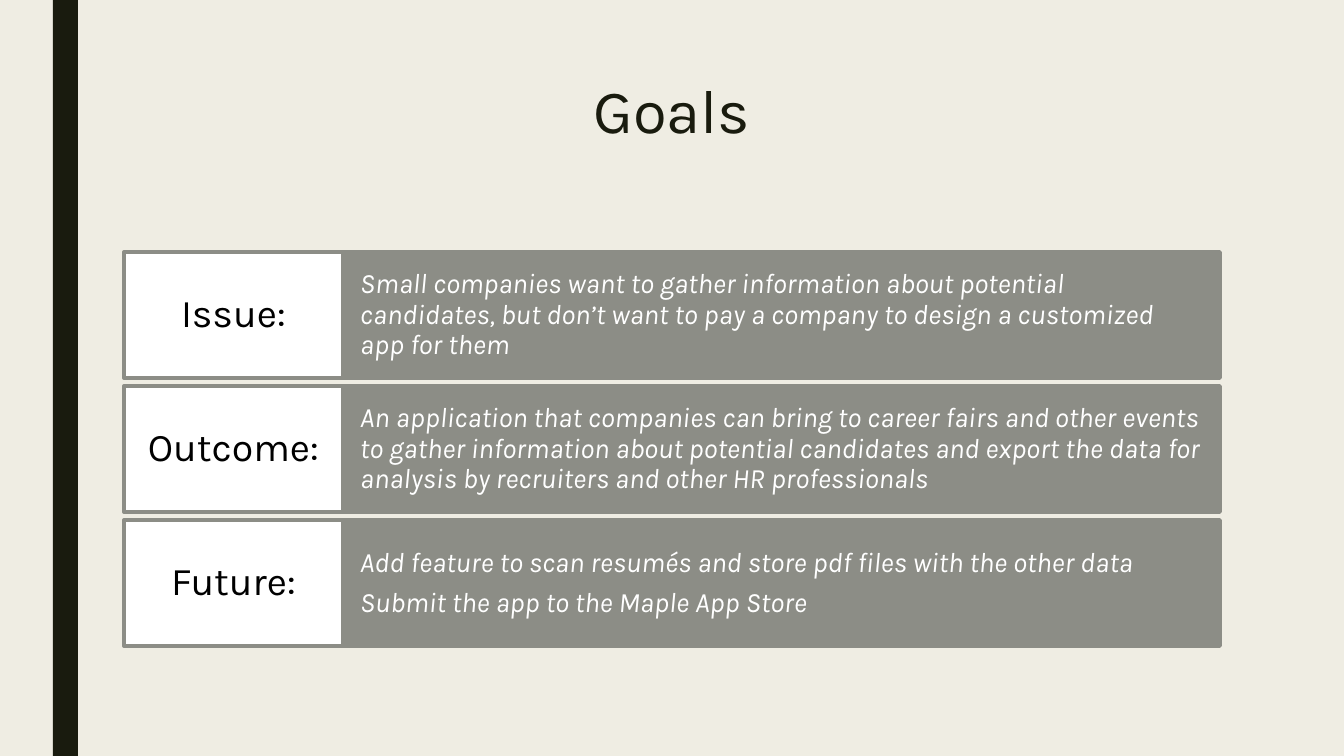
"""Build the Goals slide: a title above three labelled rows."""
import pptx
import pptx.dml.color
import pptx.enum.shapes
import pptx.enum.text
import pptx.util

RGBColor = pptx.dml.color.RGBColor
CREAM = RGBColor(0xEF, 0xED, 0xE3)
DARK = RGBColor(0x19, 0x1B, 0x0E)
GREY = RGBColor(0x8C, 0x8D, 0x86)
WHITE = RGBColor(0xFF, 0xFF, 0xFF)
BLACK = RGBColor(0x00, 0x00, 0x00)
LEFT = pptx.enum.text.PP_ALIGN.LEFT
CENTER = pptx.enum.text.PP_ALIGN.CENTER
TOP = pptx.enum.text.MSO_ANCHOR.TOP
MIDDLE = pptx.enum.text.MSO_ANCHOR.MIDDLE

LABEL_X, LABEL_W = 124, 219
DETAIL_X, DETAIL_W = 343, 877
ROW_TOP, ROW_H, ROW_STEP = 252, 126, 134
ROWS = [
    ("Issue:", ["Small companies want to gather information about potential candidates, "
                "but don’t want to pay a company to design a customized app for them"]),
    ("Outcome:", ["An application that companies can bring to career fairs and other events "
                  "to gather information about potential candidates and export the data "
                  "for analysis by recruiters and other HR professionals"]),
    ("Future:", ["Add feature to scan resumés and store pdf files with the other data",
                 "Submit the app to the Maple App Store"]),
]


def px(n):
    return round(n * 914400 / 100.8)


def write(sp, lines, size, color, align=LEFT, anchor=MIDDLE, italic=False,
          inset=(10, 5), spacing=0.9, after=0, font="Karla"):
    tf = sp.text_frame
    tf.word_wrap = True
    tf.auto_size = pptx.enum.text.MSO_AUTO_SIZE.NONE
    tf.vertical_anchor = anchor
    tf.margin_left = tf.margin_right = px(inset[0])
    tf.margin_top = tf.margin_bottom = px(inset[1])
    for i, line in enumerate(lines):
        p = tf.add_paragraph() if i else tf.paragraphs[0]
        p.alignment = align
        p.line_spacing = spacing
        p.space_before = pptx.util.Pt(0)
        p.space_after = pptx.util.Pt(after)
        r = p.add_run()
        r.text = line
        r.font.name = font
        r.font.size = pptx.util.Pt(size)
        r.font.italic = italic
        r.font.color.rgb = color


class Deck:
    def __init__(self):
        self.prs = pptx.Presentation()
        self.prs.slide_width, self.prs.slide_height = px(1344), px(756)
        self.s = self.prs.slides.add_slide(self.prs.slide_layouts[5])
        fill = self.s.background.fill
        fill.solid()
        fill.fore_color.rgb = CREAM

    def title(self, text, x, y, w, h):
        sp = self.s.shapes.title
        sp.left, sp.top, sp.width, sp.height = map(px, (x, y, w, h))
        write(sp, [text], 44, DARK, align=CENTER, anchor=TOP, spacing=0.89)

    def box(self, x, y, w, h, fill, line=None):
        sp = self.s.shapes.add_shape(
            pptx.enum.shapes.MSO_SHAPE.RECTANGLE, *map(px, (x, y, w, h)))
        sp.shadow.inherit = False
        sp.fill.solid()
        sp.fill.fore_color.rgb = fill
        if line is None:
            sp.line.fill.background()
        else:
            sp.line.color.rgb = line
            sp.line.width = pptx.util.Pt(2.75)
        return sp

    def row(self, y, label, details):
        sp = self.box(DETAIL_X, y, DETAIL_W, ROW_H, GREY, GREY)
        write(sp, details, 20, WHITE, italic=True, inset=(17, 32), after=7)
        sp = self.box(LABEL_X, y, LABEL_W, ROW_H, WHITE, GREY)
        write(sp, [label], 28, BLACK, align=CENTER, inset=(12, 12))


def main():
    deck = Deck()
    deck.box(53, 0, 25, 756, DARK)
    deck.title("Goals", 71, 76, 1202, 163)
    for i, (label, details) in enumerate(ROWS):
        deck.row(ROW_TOP + i * ROW_STEP, label, details)
    deck.prs.save("out.pptx")


if __name__ == "__main__":
    main()
